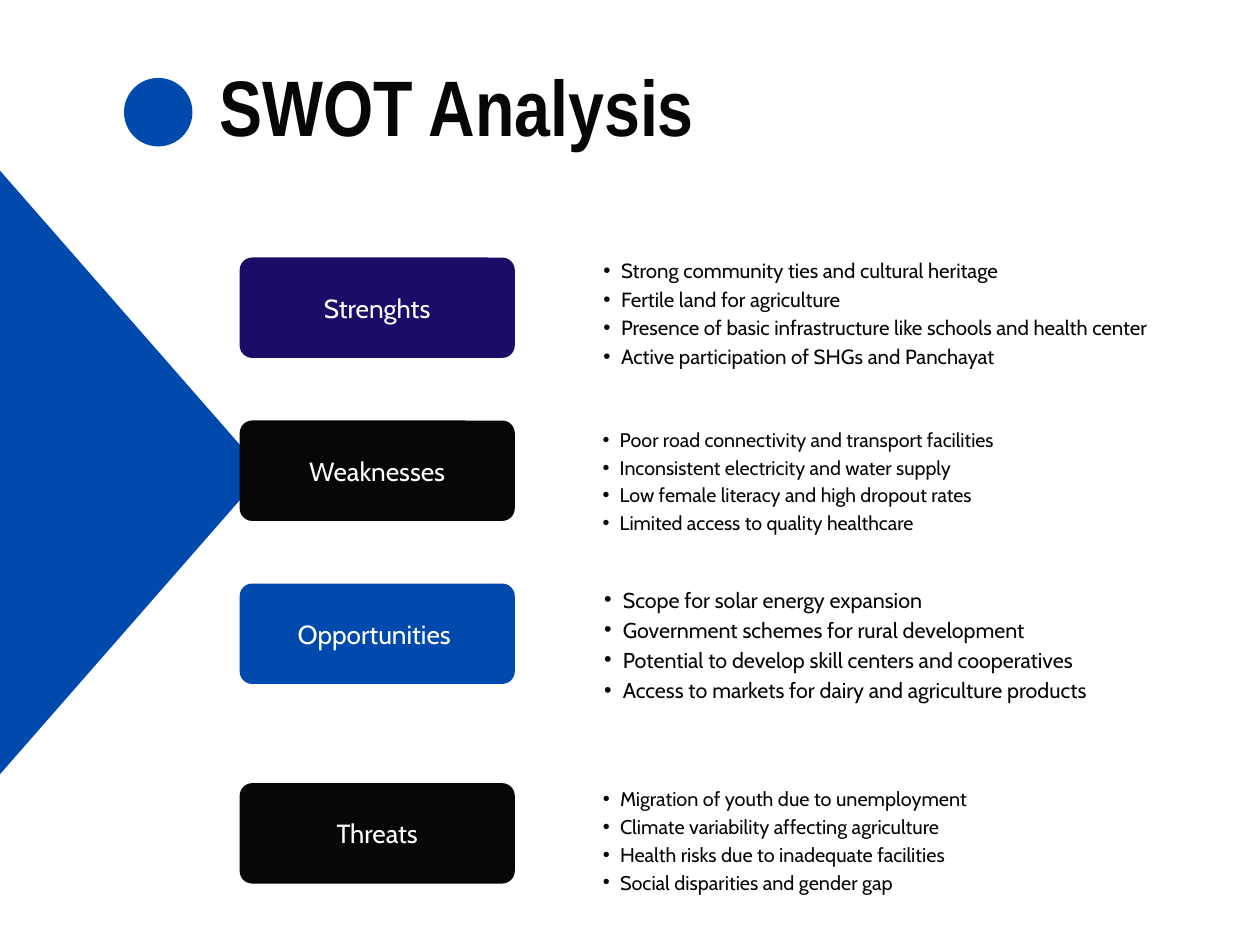
from typing import NamedTuple

from lxml import etree
from pptx import Presentation
from pptx.dml.color import RGBColor
from pptx.enum.shapes import MSO_SHAPE as Shape
from pptx.enum.text import MSO_ANCHOR as Anchor, PP_ALIGN as Align
from pptx.oxml.ns import qn
from pptx.util import Inches, Pt

BLUE, NAVY, BLACK, WHITE = "004AAD", "1A0C67", "070707", "FFFFFF"
BODY_FONT, TITLE_FONT = "Cabin", "Arial Narrow"


class Section(NamedTuple):
    name: str
    color: str
    top: float
    list_box: tuple[float, float, float]  # top, width, height
    size: float
    points: list[str]


SECTIONS = [
    Section("Strenghts", NAVY, 2.18, (2.15, 5.03, 1.24), 12.5, [
        "Strong community ties and cultural heritage",
        "Fertile land for agriculture",
        "Presence of basic infrastructure like schools and health center",
        "Active participation of SHGs and Panchayat"]),
    Section("Weaknesses", BLACK, 3.56, (3.59, 5.44, 0.9), 12, [
        "Poor road connectivity and transport facilities",
        "Inconsistent electricity and water supply",
        "Low female literacy and high dropout rates",
        "Limited access to quality healthcare"]),
    Section("Opportunities ", BLUE, 4.94, (4.93, 5.03, 1.01), 13.1, [
        "Scope for solar energy expansion",
        "Government schemes for rural development",
        "Potential to develop skill centers and cooperatives",
        "Access to markets for dairy and agriculture products"]),
    Section("Threats", BLACK, 6.63, (6.63, 5.21, 0.9), 12.1, [
        "Migration of youth due to unemployment",
        "Climate variability affecting agriculture",
        "Health risks due to inadequate facilities",
        "Social disparities and gender gap"]),
]


def rgb(color: str) -> RGBColor:
    return RGBColor.from_string(color)


def paint(sp, color: str) -> None:
    sp.shadow.inherit = False
    sp.fill.solid()
    sp.fill.fore_color.rgb = rgb(color)
    sp.line.fill.background()


def set_frame(tf, margin: float = 0, anchor=Anchor.TOP) -> None:
    inset = Inches(margin)
    fmt = dict(margin_left=inset, margin_top=inset, margin_right=inset,
               margin_bottom=inset, word_wrap=True, vertical_anchor=anchor)
    for key, value in fmt.items():
        setattr(tf, key, value)


def write(p, text: str, size: float, color: str, spacing: float,
          font: str = BODY_FONT, bold: bool = False) -> None:
    p.line_spacing = Pt(round(size * spacing, 1))
    r = p.add_run()
    r.text = text
    for key, value in dict(name=font, size=Pt(size), bold=bold).items():
        setattr(r.font, key, value)
    r.font.color.rgb = rgb(color)


def add_bullet(p, size: float) -> None:
    p.level = 1
    indent = Inches(size * 0.024)
    pPr = p._p.get_or_add_pPr()
    pPr.set("marL", str(indent))
    pPr.set("indent", str(-indent // 2))
    etree.SubElement(pPr, qn("a:buFont")).set("typeface", "Arial")
    etree.SubElement(pPr, qn("a:buChar")).set("char", "•")


def draw_section(s, section: Section) -> None:
    # Bullet list
    top, width, height = section.list_box
    tf = s.shapes.add_textbox(Inches(4.96), Inches(top),
                              Inches(width), Inches(height)).text_frame
    set_frame(tf)
    for i, point in enumerate(section.points):
        p = tf.add_paragraph() if i else tf.paragraphs[0]
        add_bullet(p, section.size)
        write(p, point, section.size, BLACK, 1.4)

    # Label box
    sp = s.shapes.add_shape(Shape.ROUNDED_RECTANGLE, Inches(2.03),
                            Inches(section.top), Inches(2.33), Inches(0.85))
    sp.adjustments[0] = 0.125
    paint(sp, section.color)
    set_frame(sp.text_frame, 0.03, Anchor.MIDDLE)
    p = sp.text_frame.paragraphs[0]
    p.alignment = Align.CENTER
    write(p, section.name, 16, WHITE, 1.2)


def main() -> None:
    prs = Presentation()
    prs.slide_width, prs.slide_height = Inches(10.67), Inches(8)
    s = prs.slides.add_slide(prs.slide_layouts[6])

    # Title
    tf = s.shapes.add_textbox(Inches(1.86), Inches(0.62),
                              Inches(5.97), Inches(0.71)).text_frame
    set_frame(tf)
    write(tf.paragraphs[0], "SWOT Analysis", 48, BLACK, 1, TITLE_FONT, True)

    # Large triangle bleeding off the left edge, with blunted corners
    upper = [(-2.24, -0.96), (-2.21, -1.02), (-2.14, -1), (2.14, 3.89), (2.19, 4)]
    lower = [(x, 8 - y) for x, y in reversed(upper[:-1])]
    start, *rest = [(Inches(x), Inches(y)) for x, y in upper + lower]
    builder = s.shapes.build_freeform(*start)
    builder.add_line_segments(rest, close=True)
    paint(builder.convert_to_shape(), BLUE)

    # Sections
    for section in SECTIONS:
        draw_section(s, section)

    # Title dot
    paint(s.shapes.add_shape(Shape.OVAL, Inches(1.05), Inches(0.66),
                             Inches(0.58), Inches(0.58)), BLUE)

    prs.save("out.pptx")


if __name__ == "__main__":
    main()
